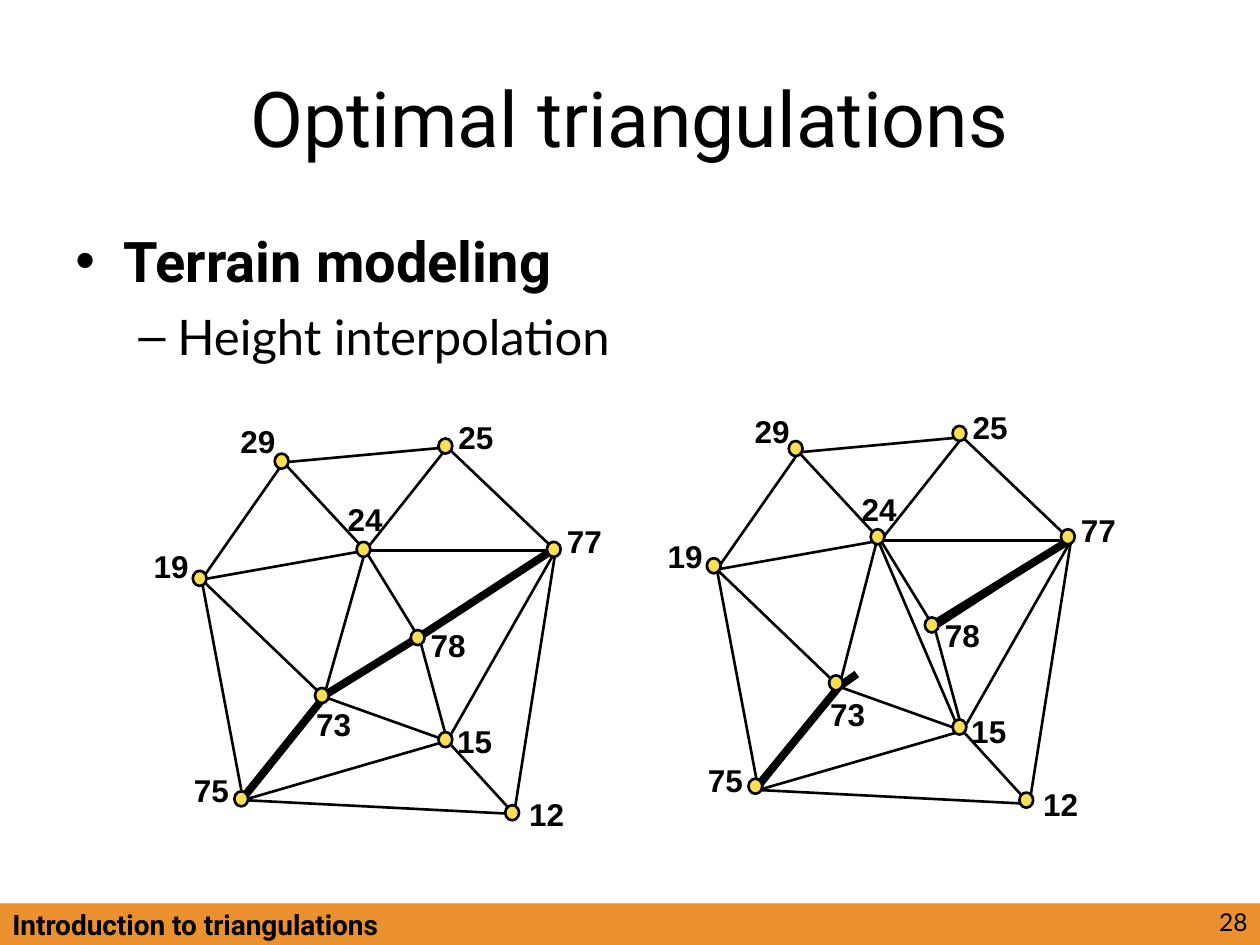
import dataclasses

import pptx
import pptx.dml.color
import pptx.enum.shapes
import pptx.enum.text
import pptx.oxml.xmlchemy
import pptx.util

Inches = pptx.util.Inches
Pt = pptx.util.Pt
OxmlElement = pptx.oxml.xmlchemy.OxmlElement
Align = pptx.enum.text.PP_ALIGN


@dataclasses.dataclass(frozen=True)
class Theme:
    ink: str = "000000"
    bar: str = "EA902E"
    dot: str = "FBDF53"
    heading_font: str = "Roboto"
    body_font: str = "Lato"
    label_font: str = "Arial"
    title_size: int = 44
    topic_size: int = 32
    detail_size: int = 28
    label_size: int = 18
    footer_size: int = 16
    number_size: int = 14
    edge_width: float = 1.5
    ridge_width: float = 4.5


THEME = Theme()

VERTICES = {
    29: (2.25, 3.67), 19: (1.6, 4.6), 25: (3.55, 3.55), 75: (1.93, 6.35),
    73: (2.57, 5.53), 24: (2.9, 4.37), 78: (3.33, 5.07), 15: (3.55, 5.88),
    77: (4.41, 4.37), 12: (4.08, 6.46),
}
LABELS = {
    75: (1.44, 6.07), 12: (4.1, 6.26), 15: (3.53, 5.68), 73: (2.41, 5.55),
    78: (3.32, 4.92), 24: (2.66, 3.92), 77: (4.4, 4.09), 25: (3.54, 3.27),
    29: (1.81, 3.3), 19: (1.12, 4.29),
}
SHARED_EDGES = [
    (29, 19), (19, 75), (75, 12), (12, 77), (77, 25), (25, 29), (29, 24),
    (24, 19), (24, 25), (24, 77), (73, 19), (78, 24), (78, 77), (78, 15),
    (15, 77), (15, 75), (73, 75), (73, 15), (15, 12),
]
DOT_SIZE = (0.11, 0.12)
LABEL_SIZE = (0.48, 0.4)


def color(value):
    return pptx.dml.color.RGBColor.from_string(value)


def moved(point, shift):
    return point[0] + shift[0], point[1] + shift[1]


def style_line(line, width):
    line.color.rgb = color(THEME.ink)
    line.width = Pt(width)


def add_run(paragraph, text, font, size, bold=False):
    run = paragraph.add_run()
    run.text = text
    run.font.name = font
    run.font.size = Pt(size)
    run.font.bold = bold
    run.font.color.rgb = color(THEME.ink)


def add_text_box(shapes, left, top, width, height, wrap=True):
    box = shapes.add_textbox(Inches(left), Inches(top), Inches(width), Inches(height))
    box.text_frame.word_wrap = wrap
    return box.text_frame


def add_bullet(paragraph, character, margin, hanging):
    properties = paragraph._p.get_or_add_pPr()
    properties.set("marL", str(Inches(margin)))
    properties.set("indent", str(-Inches(hanging)))
    font = OxmlElement("a:buFont")
    font.set("typeface", THEME.label_font)
    bullet = OxmlElement("a:buChar")
    bullet.set("char", character)
    properties.append(font)
    properties.append(bullet)


def add_edge(shapes, start, end, width=THEME.edge_width):
    edge = shapes.add_connector(
        pptx.enum.shapes.MSO_CONNECTOR.STRAIGHT,
        Inches(start[0]), Inches(start[1]), Inches(end[0]), Inches(end[1]))
    style_line(edge.line, width)
    edge._element.spPr.append(OxmlElement("a:effectLst"))


def add_ridge(shapes, points):
    if len(points) == 2:
        add_edge(shapes, *points, THEME.ridge_width)
        return
    start, *rest = [(Inches(x), Inches(y)) for x, y in points]
    builder = shapes.build_freeform(*start)
    builder.add_line_segments(rest, close=False)
    ridge = builder.convert_to_shape()
    ridge.shadow.inherit = False
    ridge.fill.background()
    style_line(ridge.line, THEME.ridge_width)


def add_dot(shapes, position):
    dot = shapes.add_shape(
        pptx.enum.shapes.MSO_SHAPE.OVAL,
        *[Inches(value) for value in (*position, *DOT_SIZE)])
    dot.shadow.inherit = False
    dot.fill.solid()
    dot.fill.fore_color.rgb = color(THEME.dot)
    style_line(dot.line, THEME.edge_width)


def add_label(shapes, height, position):
    frame = add_text_box(shapes, *position, *LABEL_SIZE, wrap=False)
    frame.auto_size = pptx.enum.text.MSO_AUTO_SIZE.SHAPE_TO_FIT_TEXT
    add_run(frame.paragraphs[0], str(height), THEME.label_font, THEME.label_size, True)


def add_triangulation(slide, ridges, extra_edges, edge_shift, dot_shift, label_shift):
    shapes = slide.shapes.add_group_shape().shapes
    for ridge in ridges:
        add_ridge(shapes, ridge)
    for start, end in SHARED_EDGES:
        add_edge(shapes, moved(VERTICES[start], edge_shift), moved(VERTICES[end], edge_shift))
    for start, end in extra_edges:
        add_edge(shapes, start, end)
    for vertex in VERTICES.values():
        add_dot(shapes, moved(vertex, dot_shift))
    for height, position in LABELS.items():
        add_label(shapes, height, moved(position, label_shift))


def add_footer(slide):
    bar = slide.shapes.add_shape(
        pptx.enum.shapes.MSO_SHAPE.RECTANGLE,
        Inches(0), Inches(7.17), Inches(10), Inches(0.33))
    bar.shadow.inherit = False
    bar.fill.solid()
    bar.fill.fore_color.rgb = color(THEME.bar)
    bar.line.fill.background()
    course = add_text_box(slide.shapes, 0, 7.15, 5.1, 0.37).paragraphs[0]
    add_run(course, "Introduction to triangulations", THEME.heading_font, THEME.footer_size, True)
    number = add_text_box(slide.shapes, 7.67, 7.15, 2.33, 0.35).paragraphs[0]
    number.alignment = Align.RIGHT
    add_run(number, "28", THEME.body_font, THEME.number_size)


def add_title(slide):
    frame = add_text_box(slide.shapes, 0.5, 0.3, 9, 1.25)
    frame.vertical_anchor = pptx.enum.text.MSO_ANCHOR.MIDDLE
    frame.paragraphs[0].alignment = Align.CENTER
    add_run(frame.paragraphs[0], "Optimal triangulations", THEME.heading_font, THEME.title_size)


def add_body(slide):
    frame = add_text_box(slide.shapes, 0.5, 1.75, 9, 4.95)
    topic = frame.paragraphs[0]
    add_bullet(topic, "•", 0.38, 0.38)
    add_run(topic, "Terrain modeling", THEME.heading_font, THEME.topic_size, True)
    detail = frame.add_paragraph()
    detail.level = 1
    add_bullet(detail, "–", 0.81, 0.31)
    detail.space_before = Pt(7)
    add_run(detail, "Height interpolation", THEME.body_font, THEME.detail_size)


def main():
    presentation = pptx.Presentation()
    presentation.slide_width = Inches(10)
    presentation.slide_height = Inches(7.5)
    slide = presentation.slides.add_slide(presentation.slide_layouts[6])
    add_footer(slide)
    add_title(slide)
    add_body(slide)
    add_triangulation(
        slide,
        ridges=[[(1.94, 6.32), (2.59, 5.51), (3.35, 5.04), (4.44, 4.33)]],
        extra_edges=[(VERTICES[24], VERTICES[73]), (VERTICES[73], VERTICES[78])],
        edge_shift=(0, 0), dot_shift=(-0.07, -0.07), label_shift=(0, 0))
    add_triangulation(
        slide,
        ridges=[[(5.98, 6.28), (6.66, 5.45), (6.8, 5.35)], [(8.5, 4.28), (7.4, 4.96)]],
        extra_edges=[((6.96, 4.29), (6.66, 5.45)), ((6.96, 4.27), (7.61, 5.79))],
        edge_shift=(4.09, -0.08), dot_shift=(4.01, -0.17), label_shift=(4.08, -0.08))
    presentation.save("out.pptx")


if __name__ == "__main__":
    main()
